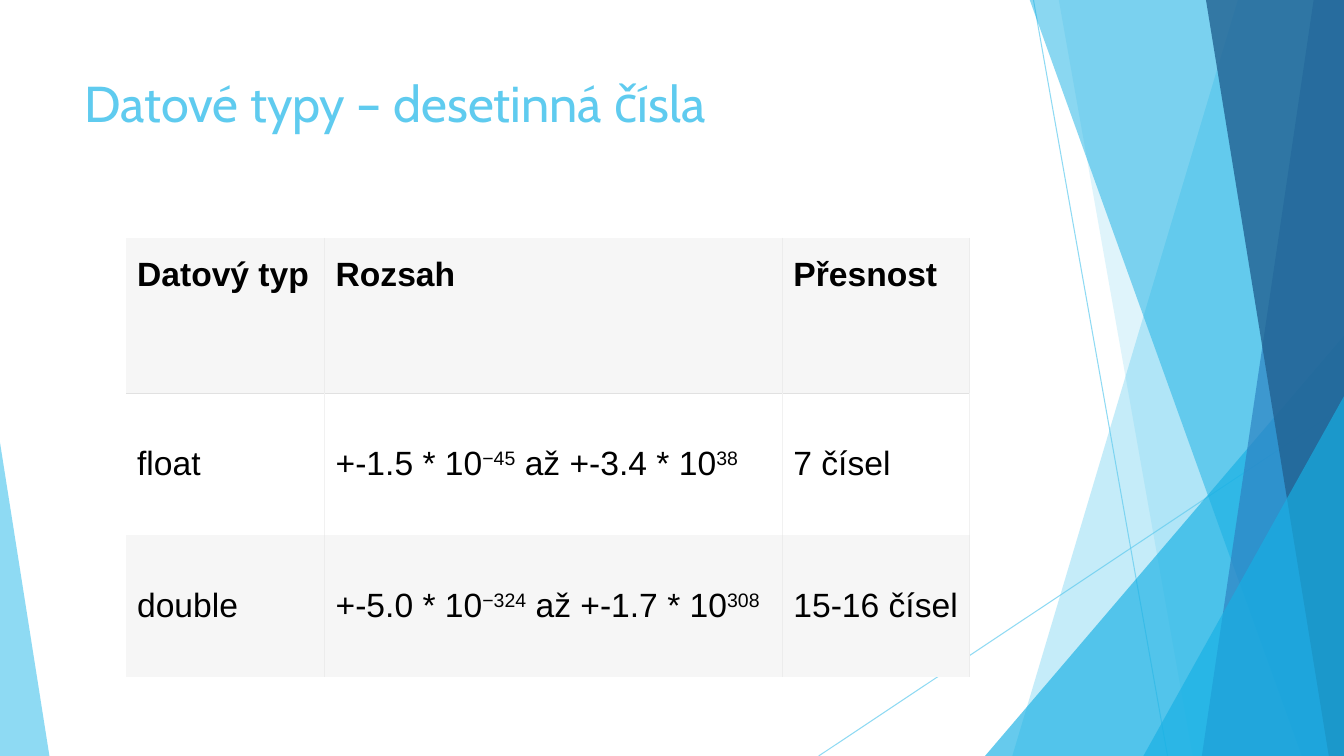
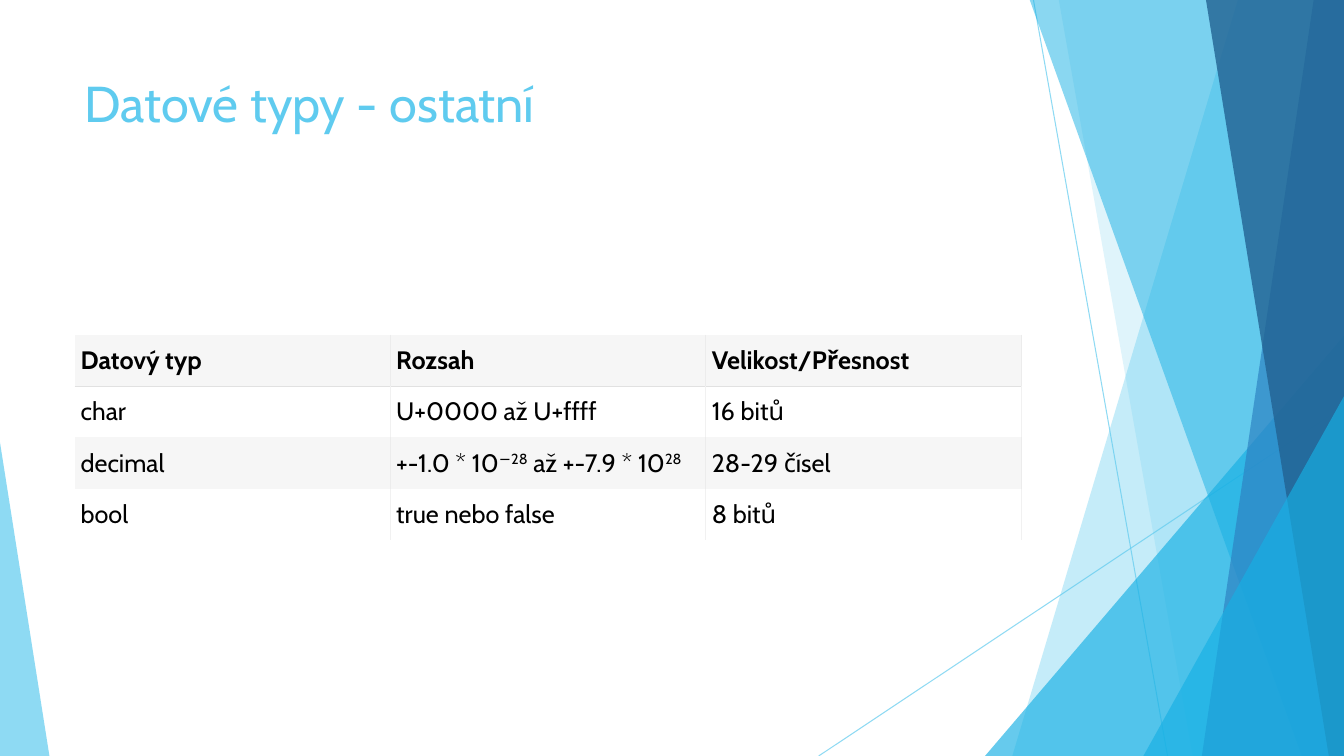
from lxml import etree
from pptx import Presentation
from pptx import util as u
from pptx.dml.color import RGBColor
from pptx.enum import shapes, text
from pptx.oxml.ns import qn

COLORS = {
    "sky": "5FCBEF", "cyan": "17B0E4", "blue": "2E83C3", "navy": "226292",
    "black": "000000", "band": "F6F6F6", "rule": "E1E1E1",
    "band_edge": "ECECEC", "plain_edge": "F1F1F1",
}
WIDTH, HEIGHT, TOP = 13.33, 7.5, -0.01
HAIRLINE = 0.75

LINES = [((10.25, 0), (11.58, HEIGHT)), ((WIDTH, 4.03), (8.12, HEIGHT))]
FACETS = [
    ("band", (12.28, 10.04), "sky", 36),
    ("band", (10.5, 11.83), "sky", 20),
    ("triangle", (9.77, 3.33, 3.56, 1), "cyan", 66),
    ("band", (10.21, 12.91), "cyan", 50),
    ("band", (13.03, 11.92), "blue", 70),
    ("band", (11.96, 13.18), "navy", 80),
    ("triangle", (11.34, 3.93, 1.99, 1), "cyan", 66),
    ("triangle", (0, 4.39, 0.49, 0), "sky", 70),
]
TITLE_FORMAT = {"name": "Cabin", "size": u.Pt(36)}

SLIDES = [
    {
        "title": "Datové typy – desetinná čísla",
        "place": (1.25, 2.36),
        "columns": [1.97, 4.54, 1.86],
        "heights": [1.54, 1.41, 1.41],
        "insets": (0.11, 0.18),
        "format": {"name": "Arial", "size": u.Pt(24)},
        "rows": [
            ("Datový typ", "Rozsah", "Přesnost"),
            ("float", "+-1.5 * 10^−45^ až +-3.4 * 10^38", "7 čísel"),
            ("double", "+-5.0 * 10^−324^ až +-1.7 * 10^308", "15-16 čísel"),
        ],
    },
    {
        "title": "Datové typy - ostatní",
        "place": (0.74, 3.32),
        "columns": [3.13] * 3,
        "heights": [0.51] * 4,
        "insets": (0.06, 0.1),
        "format": {"name": "Cabin", "size": u.Pt(18)},
        "rows": [
            ("Datový typ", "Rozsah", "Velikost/Přesnost"),
            ("char", "U+0000 až U+ffff", "16 bitů"),
            ("decimal", "+-1.0 * 10^−28^ až +-7.9 * 10^28", "28-29 čísel"),
            ("bool", "true nebo false", "8 bitů"),
        ],
    },
]


def color(name):
    return RGBColor.from_string(COLORS[name])


def set_format(font, values, tint):
    for key, value in values.items():
        setattr(font, key, value)
    font.color.rgb = color(tint)


def set_opacity(shape, percent):
    for tint in shape._element.spPr.iter(qn("a:srgbClr")):
        etree.SubElement(tint, qn("a:alpha"), val=str(percent * 1000))


def add_facet(page, kind, geometry, tint, opacity):
    if kind == "band":
        top_x, bottom_x = geometry
        corners = [(top_x, TOP), (WIDTH, TOP), (WIDTH, HEIGHT), (bottom_x, HEIGHT)]
        points = [(u.Inches(x), u.Inches(y)) for x, y in corners]
        builder = page.shapes.build_freeform(*points[0], scale=1.0)
        builder.add_line_segments(points[1:], close=True)
        facet = builder.convert_to_shape()
    else:
        left, top, width, apex = geometry
        facet = page.shapes.add_shape(
            shapes.MSO_SHAPE.ISOSCELES_TRIANGLE,
            *map(u.Inches, (left, top, width, HEIGHT - top)))
        facet.adjustments[0] = apex
    facet.shadow.inherit = False
    facet.fill.solid()
    facet.fill.fore_color.rgb = color(tint)
    facet.line.fill.background()
    set_opacity(facet, opacity)


def add_backdrop(page):
    for start, end in LINES:
        line = page.shapes.add_connector(
            shapes.MSO_CONNECTOR.STRAIGHT, *map(u.Inches, start + end))
        line.line.color.rgb = color("sky")
        line.line.width = u.Pt(HAIRLINE)
        set_opacity(line, 70)
        etree.SubElement(line._element.spPr, qn("a:effectLst"))
    for facet in FACETS:
        add_facet(page, *facet)


def add_title(page, title):
    box = page.shapes.add_textbox(*map(u.Inches, (0.74, 0.67, 9.4, 1.44)))
    box.text_frame.word_wrap = True
    span = box.text_frame.paragraphs[0].add_run()
    span.text = title
    set_format(span.font, TITLE_FORMAT, "sky")


def set_borders(cell, borders):
    properties = cell._tc.get_or_add_tcPr()
    for index, (side, tint) in enumerate(borders.items()):
        edge = etree.Element(qn("a:ln" + side), w=str(u.Pt(HAIRLINE)))
        if tint:
            fill = etree.SubElement(edge, qn("a:solidFill"))
            etree.SubElement(fill, qn("a:srgbClr"), val=COLORS[tint])
        else:
            etree.SubElement(edge, qn("a:noFill"))
        properties.insert(index, edge)


def fill_cell(cell, content, row, column, style):
    side, end = map(u.Inches, style["insets"])
    anchor = text.MSO_ANCHOR.MIDDLE if row else text.MSO_ANCHOR.TOP
    layout = {"margin_left": side, "margin_right": side, "margin_top": end,
              "margin_bottom": end, "vertical_anchor": anchor}
    for key, value in layout.items():
        setattr(cell, key, value)
    para = cell.text_frame.paragraphs[0]
    for index, piece in enumerate(content.split("^")):
        span = para.add_run()
        span.text = piece
        set_format(span.font, {**style["format"], "bold": row == 0}, "black")
        if index % 2:
            span.font._element.set("baseline", "30000")
    banded = row % 2 == 0
    if banded:
        cell.fill.solid()
        cell.fill.fore_color.rgb = color("band")
    else:
        cell.fill.background()
    edge = "band_edge" if banded else "plain_edge"
    set_borders(cell, {
        "L": edge if column else None,
        "R": edge,
        "T": "rule" if row == 1 else None,
        "B": "rule" if row == 0 else None,
    })


def add_type_table(page, content):
    columns, heights = content["columns"], content["heights"]
    size = (sum(columns), sum(heights))
    table = page.shapes.add_table(
        len(heights), len(columns), *map(u.Inches, content["place"] + size)).table
    table.horz_banding = False
    for column, width in zip(table.columns, columns):
        column.width = u.Inches(width)
    for row, height in zip(table.rows, heights):
        row.height = u.Inches(height)
    for row, values in enumerate(content["rows"]):
        for column, value in enumerate(values):
            fill_cell(table.cell(row, column), value, row, column, content)


def main():
    deck = Presentation()
    deck.slide_width, deck.slide_height = u.Inches(WIDTH), u.Inches(HEIGHT)
    for content in SLIDES:
        page = deck.slides.add_slide(deck.slide_layouts[6])
        add_backdrop(page)
        add_title(page, content["title"])
        add_type_table(page, content)
    deck.save("out.pptx")


if __name__ == "__main__":
    main()
